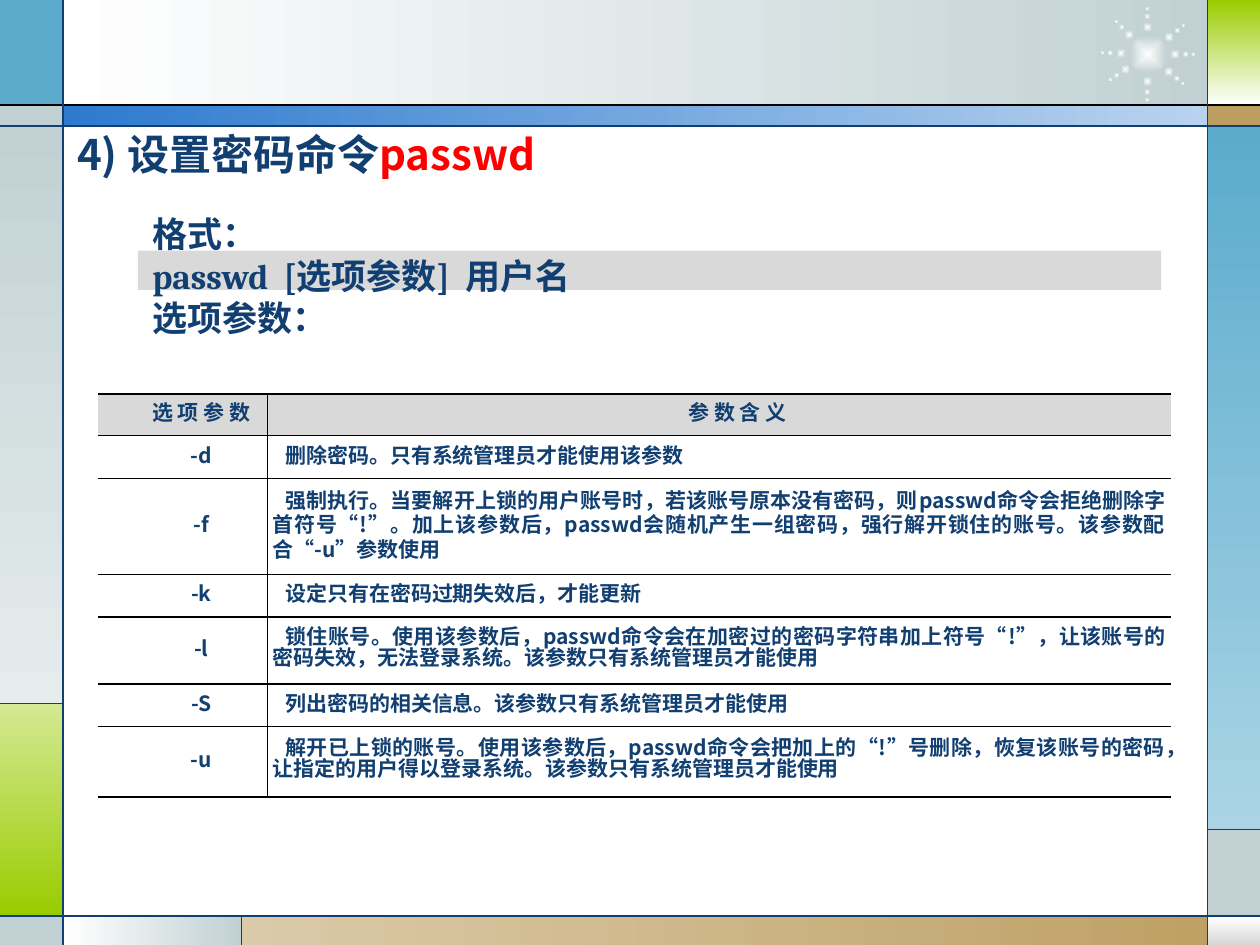
from math import cos, radians, sin

from lxml.etree import SubElement
from pptx import Presentation
from pptx.dml.color import RGBColor
from pptx.enum.shapes import MSO_CONNECTOR, MSO_SHAPE
from pptx.enum.text import MSO_ANCHOR, PP_ALIGN
from pptx.oxml import parse_xml
from pptx.oxml.ns import nsdecls, qn
from pptx.util import Pt

NAVY = RGBColor(0x11, 0x3F, 0x71)
BLACK = RGBColor(0, 0, 0)
WHITE = RGBColor(0xFF, 0xFF, 0xFF)
RED = RGBColor(0xFF, 0, 0)
LIGHT_GRAY = RGBColor(0xD9, 0xD9, 0xD9)
SILVER = RGBColor(0xD8, 0xD8, 0xD8)
MIST = RGBColor(0xC1, 0xD1, 0xD3)
PALE_MIST = RGBColor(0xE5, 0xEC, 0xEC)
SKY = RGBColor(0x5A, 0xAB, 0xCC)
PALE_SKY = RGBColor(0xAA, 0xD4, 0xE5)
BLUE = RGBColor(0x2D, 0x7A, 0xCF)
PALE_BLUE = RGBColor(0xB9, 0xD3, 0xEF)
GREEN = RGBColor(0x99, 0xCC, 0)
PALE_GREEN = RGBColor(0xD4, 0xE9, 0x93)
TAN = RGBColor(0xBD, 0x9E, 0x61)
PALE_TAN = RGBColor(0xDB, 0xCA, 0xA9)

SANS = "Noto Sans CJK SC"
SERIF = "Cambria"
ACROSS, DOWN = 0, 270
NO_TABLE_STYLE = "{2D5ABB26-0587-4C30-8999-92F81FD0307C}"

OPTIONS = [
    ("-d", "删除密码。只有系统管理员才能使用该参数", 24.3, 14),
    ("-f", "强制执行。当要解开上锁的用户账号时，若该账号原本没有密码，则passwd命令会拒绝删除"
           "字首符号“!”。加上该参数后，passwd会随机产生一组密码，强行解开锁住的账号。该参数"
           "配合“-u”参数使用", 55, 14),
    ("-k", "设定只有在密码过期失效后，才能更新", 24.3, 14),
    ("-l", "锁住账号。使用该参数后，passwd命令会在加密过的密码字符串加上符号“!”，让该账号"
           "的密码失效，无法登录系统。该参数只有系统管理员才能使用", 38.3, 12),
    ("-S", "列出密码的相关信息。该参数只有系统管理员才能使用", 24.3, 14),
    ("-u", "解开已上锁的账号。使用该参数后，passwd命令会把加上的“!”号删除，恢复该账号的密"
           "码，让指定的用户得以登录系统。该参数只有系统管理员才能使用", 40.2, 12),
]


def add_shape(shapes, kind, box, colors, angle=ACROSS):
    """Add a borderless shape; two colours make a linear gradient."""
    shape = shapes.add_shape(kind, *map(Pt, box))
    shape.shadow.inherit = False
    shape.line.fill.background()
    if len(colors) == 1:
        shape.fill.solid()
        shape.fill.fore_color.rgb = colors[0]
    else:
        shape.fill.gradient()
        shape.fill.gradient_angle = angle
        for stop, color in zip(shape.fill.gradient_stops, colors):
            stop.color.rgb = color
    return shape


def add_line(shapes, start, end, color=NAVY):
    line = shapes.add_connector(MSO_CONNECTOR.STRAIGHT, *map(Pt, start + end))
    line.line.color.rgb = color
    line.line.width = Pt(0.75)
    SubElement(line._element.spPr, qn("a:effectLst"))


def style_paragraph(paragraph, size, name, indent=0):
    properties = paragraph._p.get_or_add_pPr()
    properties.set("marL", "0")
    properties.set("indent", str(Pt(indent)))
    font = paragraph.font
    font.size, font.name, font.bold = Pt(size), name, True
    font.color.rgb = NAVY
    SubElement(properties.find(qn("a:defRPr")), qn("a:ea"), typeface=SANS)


def add_frame(shapes, box):
    """Draw the coloured border panels and the rules between them."""
    left, top, width, height = box
    right, bottom = left + width, top + height
    inner_left, inner_right = left + 36, right - 30
    band_top, band_bottom, footer = top + 60, top + 72, bottom - 16.5
    left_split, right_split, footer_split = top + 402, top + 474, left + 138.2
    panels = [
        (inner_left, top, inner_right, band_top, (WHITE, MIST), ACROSS),
        (left, top, inner_left, band_top, (SKY,), None),
        (left, band_top, inner_left, band_bottom, (MIST,), None),
        (left, band_bottom, inner_left, left_split, (MIST, PALE_MIST), DOWN),
        (left, left_split, inner_left, footer, (PALE_GREEN, GREEN), DOWN),
        (left, footer, inner_left, bottom, (MIST,), None),
        (inner_left, footer, footer_split, bottom, (WHITE, MIST), ACROSS),
        (footer_split, footer, right, bottom, (PALE_TAN, TAN), ACROSS),
        (inner_right, footer, right, bottom, (WHITE, SILVER), DOWN),
        (inner_right, right_split, right, footer, (MIST,), None),
        (inner_right, band_bottom, right, right_split, (SKY, PALE_SKY), DOWN),
        (inner_right, band_top, right, band_bottom, (TAN,), None),
        (inner_right, top, right, band_top, (GREEN, WHITE), DOWN),
        (inner_left, band_top, inner_right, band_bottom, (BLUE, PALE_BLUE), ACROSS),
    ]
    for x1, y1, x2, y2, colors, angle in panels:
        add_shape(shapes, MSO_SHAPE.RECTANGLE, (x1, y1, x2 - x1, y2 - y1), colors, angle)

    add_starburst(shapes, (right - 99, top + 4, 70, 54))

    for y, color in ((band_top, BLACK), (band_bottom, NAVY), (footer, NAVY)):
        add_line(shapes, (left, y), (right, y), color)
    for x in (inner_left, inner_right):
        add_line(shapes, (x, top), (x, bottom))
    add_line(shapes, (inner_left, left_split), (left, left_split))
    add_line(shapes, (footer_split, footer), (footer_split, bottom))
    add_line(shapes, (inner_right, right_split), (right, right_split))


def add_starburst(shapes, box):
    """Draw a glowing disc with eight rays of three shrinking dots."""
    left, top, width, height = box
    center_x, center_y = left + width / 2, top + height / 2
    group = shapes.add_group_shape().shapes

    def add_glow(x, y, size):
        dot = add_shape(group, MSO_SHAPE.OVAL, (x - size / 2, y - size / 2, size, size),
                        (WHITE, MIST))
        gradient = dot._element.spPr.find(qn("a:gradFill"))
        gradient.replace(gradient.find(qn("a:lin")), parse_xml(
            f'<a:path {nsdecls("a")} path="shape">'
            '<a:fillToRect l="50000" t="50000" r="50000" b="50000"/></a:path>'))

    add_glow(center_x, center_y, 21.6)
    for angle in (0, 40, 91, 146, 182, 226, 269, 321):
        for radius, size in ((15.5, 5.4), (21.6, 3.5), (26, 2.5)):
            add_glow(center_x + radius * cos(radians(angle)),
                     center_y + radius * sin(radians(angle)), size)


def add_title(shapes, box):
    frame = shapes.add_textbox(*map(Pt, box)).text_frame
    frame.word_wrap = True
    frame.vertical_anchor = MSO_ANCHOR.MIDDLE
    paragraph = frame.paragraphs[0]
    style_paragraph(paragraph, 24, SANS)
    paragraph.add_run().text = "4) 设置密码命令"
    command = paragraph.add_run()
    command.text = "passwd"
    command.font.color.rgb = RED


def add_syntax(shapes, box):
    left, top, width, height = box
    add_shape(shapes, MSO_SHAPE.RECTANGLE, (left + 34.3, top + 25.3, 584.7, 22.4), (LIGHT_GRAY,))
    frame = shapes.add_textbox(*map(Pt, box)).text_frame
    frame.word_wrap = True
    frame.text = "格式：\npasswd  [选项参数]  用户名\n选项参数："
    for paragraph in frame.paragraphs:
        paragraph.line_spacing = Pt(24)
        style_paragraph(paragraph, 20, SERIF, 35.5)


def fill_cell(cell, text, align, indent, spacing, sides, color=None):
    cell.margin_left = cell.margin_right = Pt(3)
    cell.margin_top = cell.margin_bottom = 0
    cell.vertical_anchor = MSO_ANCHOR.MIDDLE
    cell.text = text
    paragraph = cell.text_frame.paragraphs[0]
    paragraph.alignment = align
    paragraph.line_spacing = Pt(spacing)
    style_paragraph(paragraph, 12, SANS, indent)
    for side in sides:
        border = SubElement(cell._tc.get_or_add_tcPr(), qn(f"a:ln{side}"), w=str(Pt(1)))
        fill = SubElement(border, qn("a:solidFill"))
        SubElement(fill, qn("a:srgbClr"), val=str(BLACK))
    if color is None:
        cell.fill.background()
    else:
        cell.fill.solid()
        cell.fill.fore_color.rgb = color


def add_options_table(shapes, box):
    rows = [("选 项 参 数", "参 数 含 义", 24, 14)] + OPTIONS
    table = shapes.add_table(len(rows), 2, *map(Pt, box)).table
    table._tbl.tblPr.find(qn("a:tableStyleId")).text = NO_TABLE_STYLE
    table.first_row = table.horz_banding = False
    table.columns[0].width, table.columns[1].width = Pt(96.6), Pt(box[2] - 96.6)
    for index, (option, meaning, height, spacing) in enumerate(rows):
        header = index == 0
        color = LIGHT_GRAY if header else None
        align, indent = (PP_ALIGN.CENTER, 21) if header else (PP_ALIGN.JUSTIFY, 7.2)
        table.rows[index].height = Pt(height)
        fill_cell(table.cell(index, 0), option, PP_ALIGN.CENTER, 21, 14, "RTB", color)
        fill_cell(table.cell(index, 1), meaning, align, indent, spacing, "LTB", color)


def main():
    presentation = Presentation()
    presentation.slide_width, presentation.slide_height = Pt(720), Pt(540)
    shapes = presentation.slides.add_slide(presentation.slide_layouts[6]).shapes
    add_frame(shapes, (0, 0, 720, 540))
    add_title(shapes, (37, 65.5, 528, 44.5))
    add_syntax(shapes, (44.5, 118, 636, 80))
    add_options_table(shapes, (56.2, 225, 613, 230.4))
    presentation.save("out.pptx")


if __name__ == "__main__":
    main()
